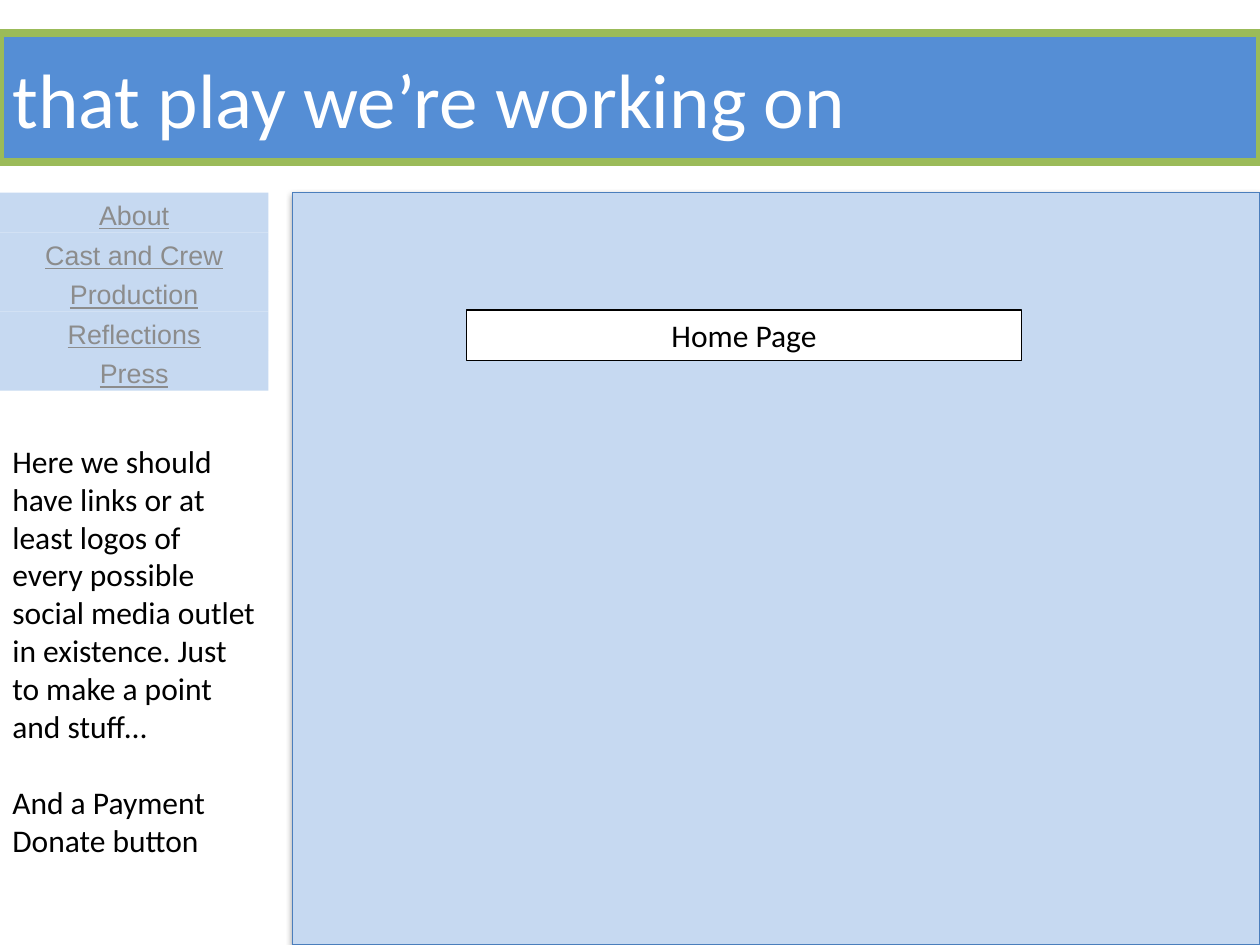
"""Build a website wireframe slide with a title bar, a menu and a home page panel."""
from dataclasses import dataclass

from lxml import etree
from pptx import Presentation
from pptx.dml.color import RGBColor
from pptx.enum.shapes import MSO_SHAPE
from pptx.enum.text import MSO_ANCHOR, PP_ALIGN
from pptx.oxml.ns import qn
from pptx.util import Inches, Pt

RECTANGLE = MSO_SHAPE.RECTANGLE
LEFT, CENTER = PP_ALIGN.LEFT, PP_ALIGN.CENTER
TOP, MIDDLE = MSO_ANCHOR.TOP, MSO_ANCHOR.MIDDLE

TITLE = "that play we’re working on"
MENU = ["About", "Cast and Crew", "Production", "Reflections", "Press"]
PAGE_NAME = "Home Page"
SIDE_NOTES = [
    "Here we should have links or at least logos of every possible social "
    "media outlet in existence. Just to make a point and stuff…",
    "And a Payment Donate button",
]


@dataclass(frozen=True)
class TextStyle:
    font: str
    size: float
    color: str
    underline: bool = False


class Theme:
    bar, bar_line = "558ED5", "9BBB59"
    panel, panel_line = "C6D9F1", "4B7EBC"
    white, black = "FFFFFF", "000000"
    title = TextStyle("Calibri", 44, white)
    menu = TextStyle("Arial", 15.3, "8C8C8C", True)
    body = TextStyle("Calibri", 18, black)
    thick, thin = 4.5, 0.75
    menu_gap, note_gap = 2, 22


WIDTH, HEIGHT = 10, 7.5
SIDE_WIDTH = 2.13
CONTENT_TOP = 1.53
MENU_ROW = 1.57 / len(MENU)
PANEL_LEFT = 2.32


def write(shape, texts, style, align=LEFT, anchor=TOP, first_gap=0, gap=0):
    frame = shape.text_frame
    frame.word_wrap = True
    frame.vertical_anchor = anchor
    for index, text in enumerate(texts):
        paragraph = frame.add_paragraph() if index else frame.paragraphs[0]
        paragraph.alignment = align
        paragraph.space_before = Pt(gap if index else first_gap)
        run = paragraph.add_run()
        run.text = text
        run.font.name = style.font
        run.font.size = Pt(style.size)
        run.font.underline = style.underline
        run.font.color.rgb = RGBColor.from_string(style.color)


def add_box(slide, box, fill, line=None, line_width=Theme.thin):
    shape = slide.shapes.add_shape(RECTANGLE, *map(Inches, box))
    shape.shadow.inherit = False
    shape.fill.solid()
    shape.fill.fore_color.rgb = RGBColor.from_string(fill)
    if line:
        shape.line.color.rgb = RGBColor.from_string(line)
        shape.line.width = Pt(line_width)
    else:
        shape.line.fill.background()
    return shape


def add_soft_shadow(shape):
    effects = shape._element.spPr.find(qn("a:effectLst"))
    shadow = etree.SubElement(
        effects, qn("a:outerShdw"), blurRad=str(Pt(3.1)), dist=str(Pt(1.8)),
        dir="5400000", rotWithShape="0")
    color = etree.SubElement(shadow, qn("a:srgbClr"), val=Theme.black)
    etree.SubElement(color, qn("a:alpha"), val="35000")


def main():
    presentation = Presentation()
    presentation.slide_width = Inches(WIDTH)
    presentation.slide_height = Inches(HEIGHT)
    slide = presentation.slides.add_slide(presentation.slide_layouts[6])

    title_bar = add_box(slide, (0, 0.26, WIDTH, 1.03), Theme.bar,
                        Theme.bar_line, Theme.thick)
    write(title_bar, [TITLE], Theme.title, anchor=MIDDLE)

    for row, label in enumerate(MENU):
        box = (0, CONTENT_TOP + row * MENU_ROW, SIDE_WIDTH, MENU_ROW)
        item = add_box(slide, box, Theme.panel)
        write(item, [label], Theme.menu, CENTER, first_gap=Theme.menu_gap)

    panel = add_box(
        slide,
        (PANEL_LEFT, CONTENT_TOP, WIDTH - PANEL_LEFT, HEIGHT - CONTENT_TOP),
        Theme.panel, Theme.panel_line)
    add_soft_shadow(panel)

    page_label = add_box(slide, (3.7, 2.46, 4.41, 0.4), Theme.white, Theme.black)
    write(page_label, [PAGE_NAME], Theme.body, CENTER)

    notes = slide.shapes.add_textbox(*map(Inches, (0, 3.46, SIDE_WIDTH, 3.43)))
    write(notes, SIDE_NOTES, Theme.body, gap=Theme.note_gap)

    presentation.save("out.pptx")


if __name__ == "__main__":
    main()
